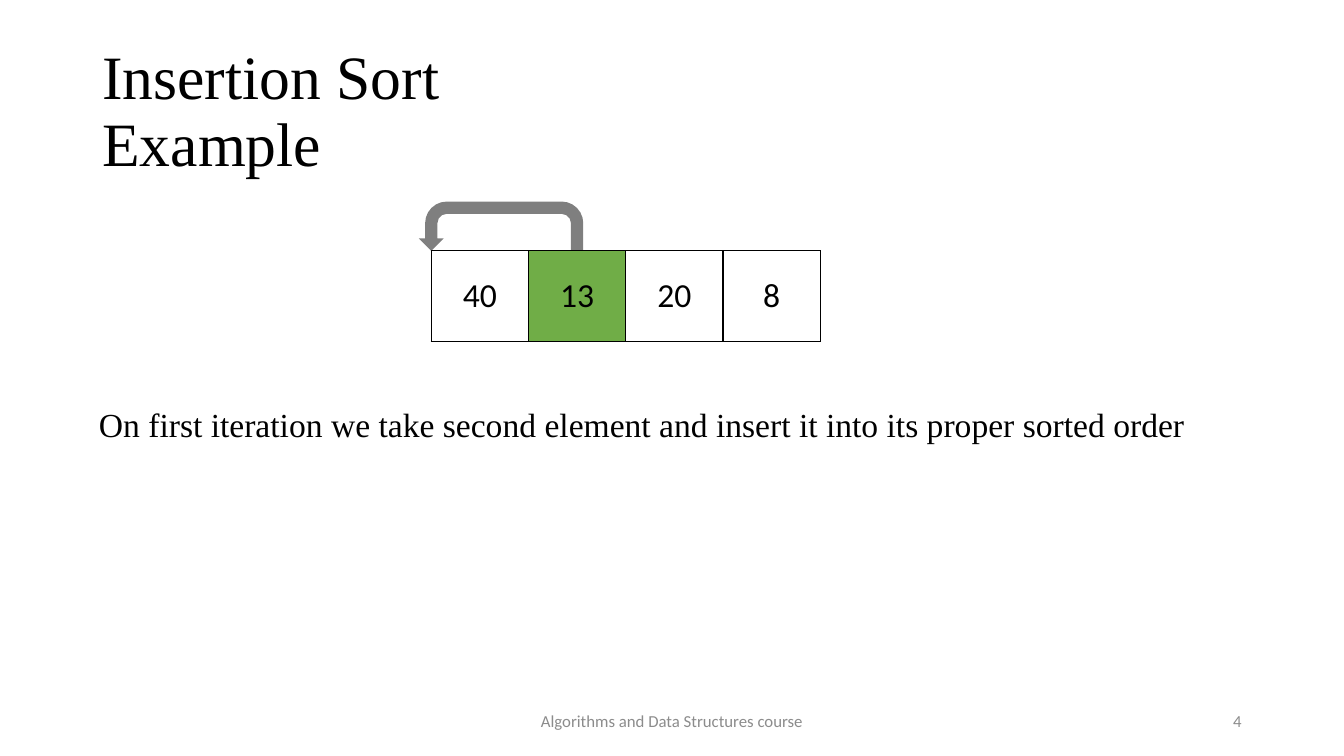
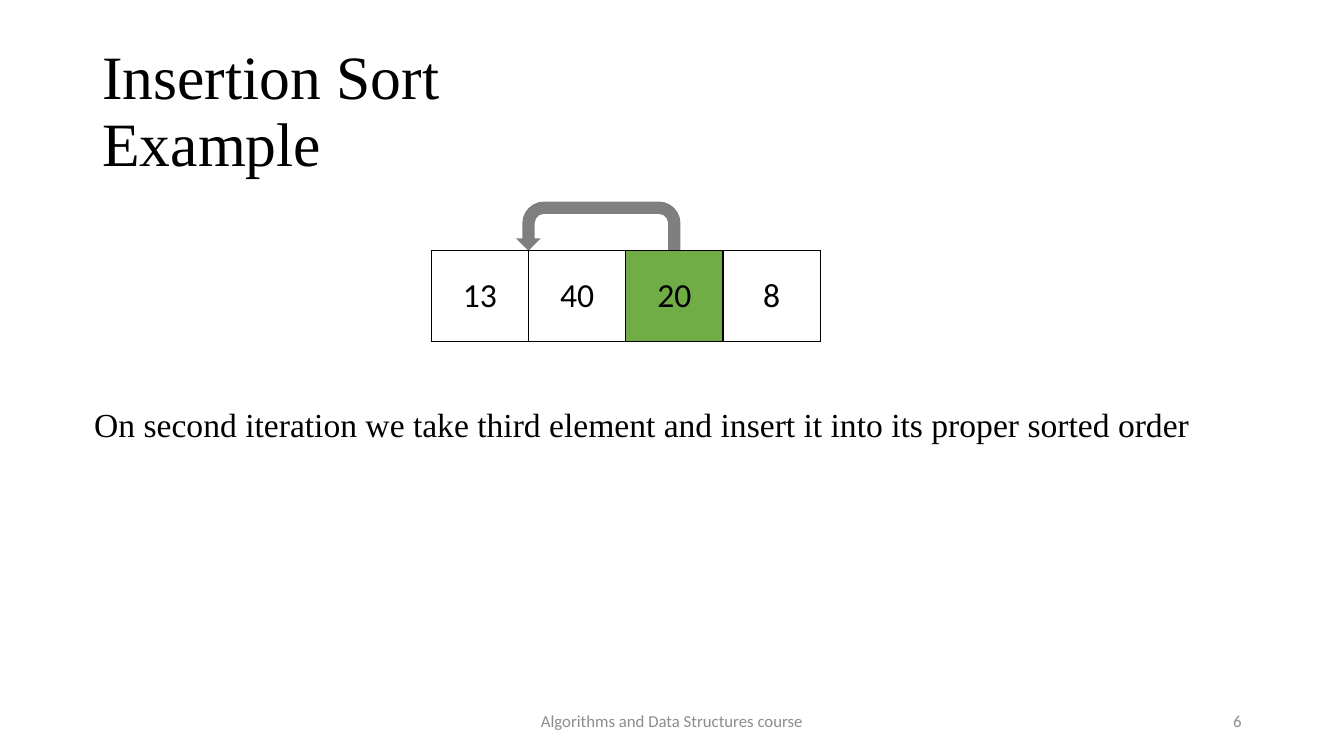
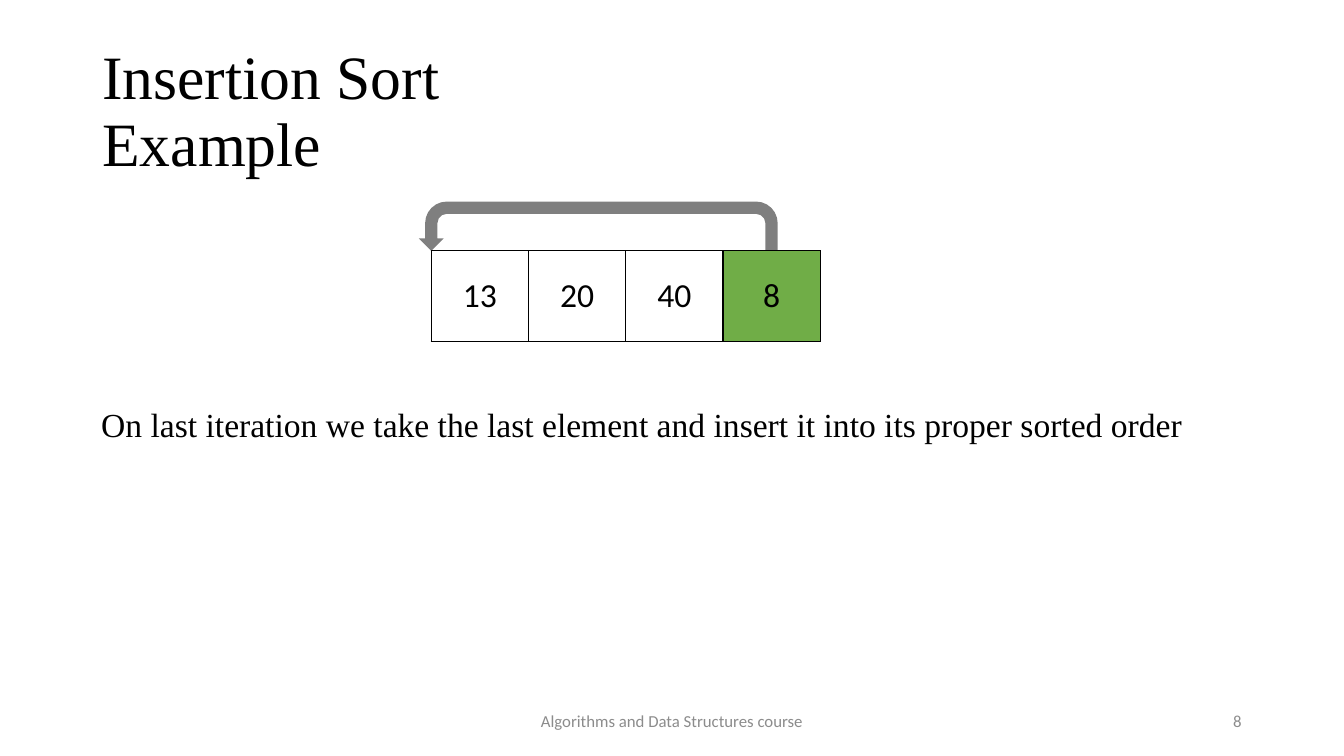
import pptx
import pptx.util
import pptx.dml.color
import pptx.enum.shapes
import pptx.enum.text
import pptx.oxml
import pptx.oxml.ns

Cm, Pt = pptx.util.Cm, pptx.util.Pt
RGB = pptx.dml.color.RGBColor.from_string
ALIGN, ANCHOR = pptx.enum.text.PP_ALIGN, pptx.enum.text.MSO_ANCHOR
NS = pptx.oxml.ns.nsdecls("a")

COLORS = {"ink": "000000", "cell": "FFFFFF", "current": "70AD47", "footer": "8C8C8C"}
SERIF, SANS = "Times New Roman", "Calibri"
TABLE_LEFT, TABLE_TOP, CELL_W, CELL_H = 10.87, 6.32, 2.45, 2.29
ARROW_H = 1.24

STEPS = [
    (4, [40, 13, 20, 8], 1, 0,
     "On first iteration we take second element and insert it into its proper sorted order"),
    (6, [13, 40, 20, 8], 2, 1,
     "On second iteration we take third element and insert it into its proper sorted order"),
    (8, [13, 20, 40, 8], 3, 0,
     "On last iteration we take the last element and insert it into its proper sorted order"),
]


def format_paragraph(p, font, size, color, align, spacing=1.0):
    p.alignment = align
    p.line_spacing = spacing
    p.font.name = font
    p.font.size = Pt(size)
    p.font.color.rgb = RGB(COLORS[color])


def add_text(s, box, text, font, size, color, align, anchor=ANCHOR.MIDDLE, spacing=1.0):
    tf = s.shapes.add_textbox(*[Cm(v) for v in box]).text_frame
    tf.word_wrap = True
    tf.vertical_anchor = anchor
    tf.text = text
    for p in tf.paragraphs:
        format_paragraph(p, font, size, color, align, spacing)


prs = pptx.Presentation()
prs.slide_width, prs.slide_height = Cm(33.87), Cm(19.05)

for number, values, current, target, caption in STEPS:
    s = prs.slides.add_slide(prs.slide_layouts[6])

    table = s.shapes.add_table(1, len(values), Cm(TABLE_LEFT), Cm(TABLE_TOP),
                               Cm(CELL_W * len(values)), Cm(CELL_H)).table
    table.first_row = table.horz_banding = False
    table.rows[0].height = Cm(CELL_H)
    for i, value in enumerate(values):
        table.columns[i].width = Cm(CELL_W)
        cell = table.cell(0, i)
        cell.text = str(value)
        cell.vertical_anchor = ANCHOR.MIDDLE
        cell.fill.solid()
        cell.fill.fore_color.rgb = RGB(COLORS["current" if i == current else "cell"])
        format_paragraph(cell.text_frame.paragraphs[0], SANS, 24, "ink", ALIGN.CENTER)
        tcPr = cell._tc.get_or_add_tcPr()
        for order, side in enumerate("LRTB"):
            tcPr.insert(order, pptx.oxml.parse_xml(
                f'<a:ln{side} {NS} w="12700"><a:solidFill>'
                f'<a:srgbClr val="{COLORS["ink"]}"/></a:solidFill></a:ln{side}>'))

    add_text(s, (1.57, 10.16, 29.21, 3.02), caption, SERIF, 24, "ink",
             ALIGN.CENTER, ANCHOR.TOP, 0.9)

    left = TABLE_LEFT + target * CELL_W - ARROW_H / 4
    right = TABLE_LEFT + (current + 0.5) * CELL_W + ARROW_H / 8
    arrow = s.shapes.add_shape(pptx.enum.shapes.MSO_SHAPE.U_TURN_ARROW, Cm(left),
                               Cm(TABLE_TOP - ARROW_H), Cm(right - left), Cm(ARROW_H))
    arrow.shadow.inherit = False
    for i, value in enumerate([0.25, 0.25, 0.25, 0.44, 1]):
        arrow.adjustments[i] = value
    arrow.line.fill.background()
    arrow.fill.solid()
    arrow.fill.fore_color.rgb = RGB(COLORS["ink"])
    spPr = arrow._element.spPr
    spPr.xfrm.set("flipH", "1")
    spPr.find(".//" + pptx.oxml.ns.qn("a:srgbClr")).append(
        pptx.oxml.parse_xml(f'<a:alpha {NS} val="50000"/>'))

    add_text(s, (2.33, 1.01, 29.21, 3.68), "Insertion Sort\nExample", SERIF, 44, "ink",
             ALIGN.LEFT, spacing=0.9)
    add_text(s, (11.22, 17.66, 11.43, 1.01), "Algorithms and Data Structures course",
             SANS, 12, "footer", ALIGN.CENTER)
    add_text(s, (23.92, 17.66, 7.62, 1.01), str(number), SANS, 12, "footer", ALIGN.RIGHT)

prs.save("out.pptx")
